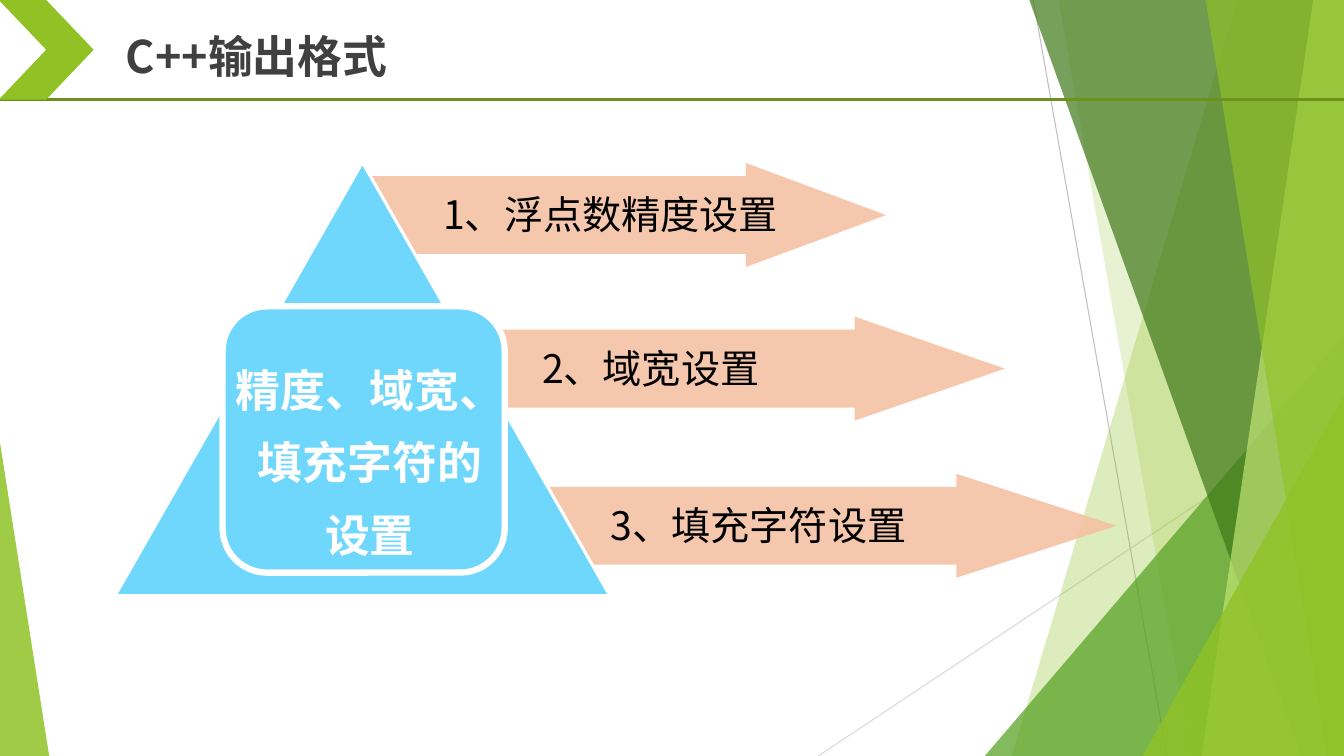
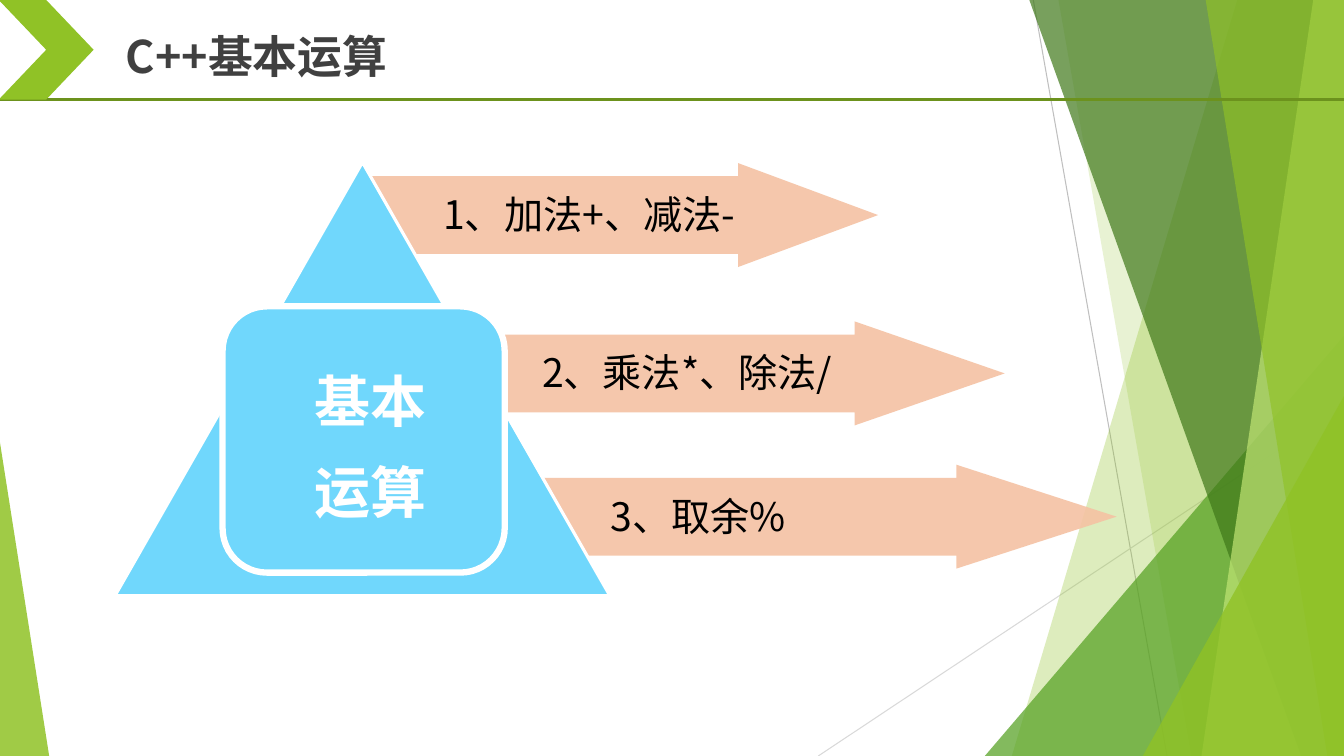
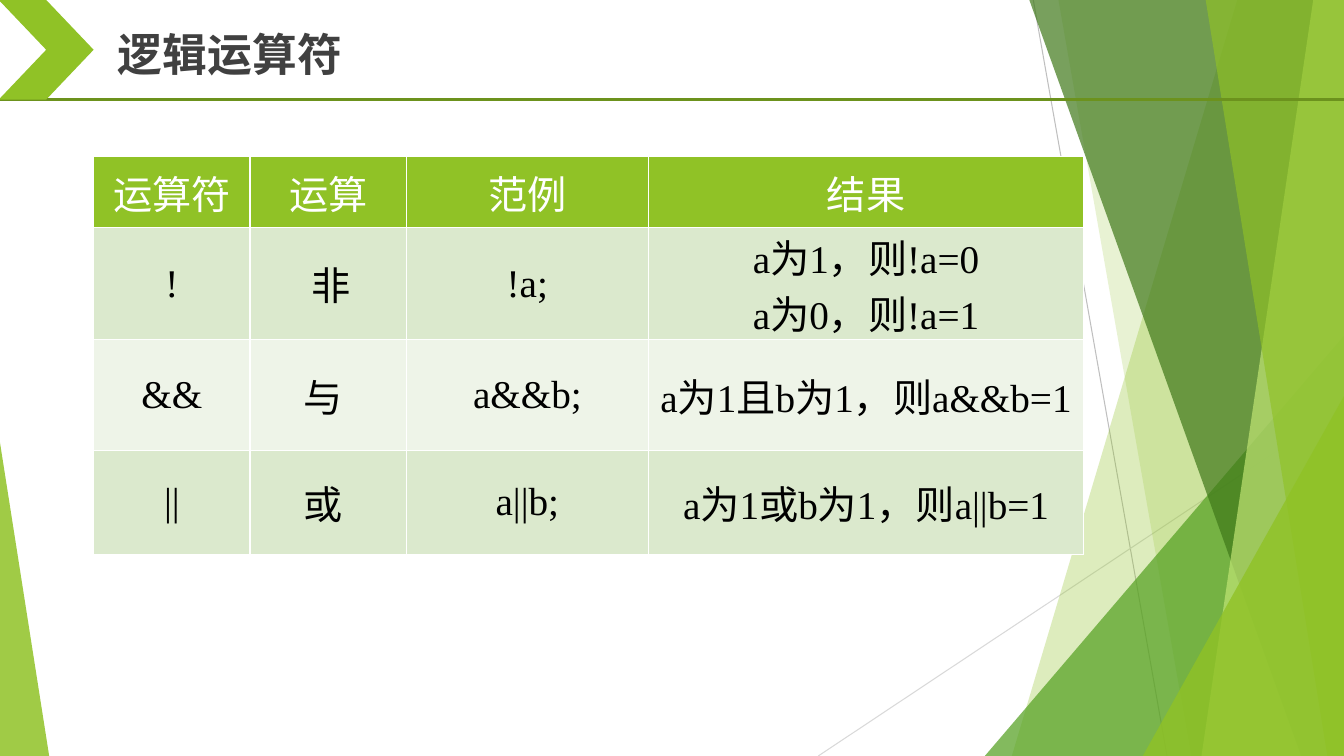
from lxml.etree import SubElement
from pptx import Presentation
from pptx.dml.color import RGBColor
from pptx.enum.shapes import MSO_CONNECTOR, MSO_SHAPE
from pptx.enum.text import MSO_ANCHOR, MSO_AUTO_SIZE, PP_ALIGN
from pptx.oxml.ns import qn
from pptx.util import Cm, Pt

WIDTH, HEIGHT = 33.87, 19.05
SANS, SERIF = "Noto Sans CJK SC", "Times New Roman"
GREEN, MID_GREEN, DARK_GREEN, PALE_GREEN = "90C226", "54A021", "3F7819", "C0E474"
RULE_GREEN, BLUE, PEACH = "6C921D", "70D7FC", "F5C2A3"
WHITE, BLACK, GREY = "FFFFFF", "000000", "404040"
TRIANGLE = MSO_SHAPE.ISOSCELES_TRIANGLE
rgb = RGBColor.from_string


def style_text(paragraph, size, colour, bold=False, latin=SANS):
    for run in paragraph.runs:
        run.font.size = Pt(size)
        run.font.name = latin
        run.font.bold = bold
        run.font.color.rgb = rgb(colour)
        SubElement(run.font._element, qn("a:ea"), typeface=SANS)


def strip(top_x, bottom_x):
    """Corners of a full-height band that reaches the right edge."""
    return [(top_x, -0.03), (WIDTH, -0.03), (WIDTH, HEIGHT), (bottom_x, HEIGHT)]


# Each drawing: kind, geometry in cm, fill, opacity %, line colour, line width,
# triangle apex
background = [
    ("line", (26.04, 0, 29.41, HEIGHT), None, 100, "BFBFBF", 0.75, None),
    ("line", (WIDTH, 10.24, 20.62, HEIGHT), None, 100, "D9D9D9", 0.75, None),
    ("polygon", strip(31.19, 25.5), GREEN, 30, None, 0, None),
    ("polygon", strip(26.67, 30.02), GREEN, 20, None, 0, None),
    (TRIANGLE, (24.82, 8.46, 9.05, 10.59), MID_GREEN, 72, None, 0, 1),
    ("polygon", strip(25.93, 32.79), DARK_GREEN, 70, None, 0, None),
    ("polygon", strip(33.1, 30.28), PALE_GREEN, 70, None, 0, None),
    ("polygon", strip(30.38, 33.45), GREEN, 65, None, 0, None),
    (TRIANGLE, (28.8, 9.98, 5.07, 9.07), GREEN, 80, None, 0, 1),
    (TRIANGLE, (0, 11.15, 1.24, 7.9), GREEN, 85, None, 0, 0),
    ("line", (0, 2.51, WIDTH, 2.51), None, 100, RULE_GREEN, 2.25, None),
    (MSO_SHAPE.CHEVRON, (-0.03, 0, 2.39, 2.51), GREEN, 100, None, 0, None),
]
pyramid = [
    (TRIANGLE, (2.9, 4.09, 12.47, 10.92), BLUE, 100, WHITE, 2.25, 0.5),
    (MSO_SHAPE.ROUNDED_RECTANGLE, (5.61, 7.72, 7.11, 6.71), BLUE, 100, WHITE, 4.5, None),
]

# Arrow columns: left, head start, tip, label left
arrow_columns = [
    (9.32, 18.8, 22.33, 10.92),
    (11.46, 21.54, 25.32, 13.41),
    (13.34, 24.1, 28.14, 15.14),
]
slides = [
    {
        "title": "C++输出格式", "title_at": (2.92, 0.61),
        "centre": "精度、域宽、\n填充字符的\n设置", "centre_size": 32,
        "arrows": [("1、浮点数精度设置", 4.11, 0), ("2、域宽设置", 7.98, 0),
                   ("3、填充字符设置", 11.94, 0)],
    },
    {
        "title": "C++基本运算", "title_at": (2.92, 0.61),
        "centre": "基本\n运算", "centre_size": 40,
        "arrows": [("1、加法+、减法-", 4.11, -0.2), ("2、乘法*、除法/", 8.1, 0),
                   ("3、取余%", 11.71, 0)],
    },
    {"title": "逻辑运算符", "title_at": (2.72, 0.56), "arrows": []},
]

presentation = Presentation()
presentation.slide_width, presentation.slide_height = Cm(WIDTH), Cm(HEIGHT)

for content in slides:
    slide = presentation.slides.add_slide(presentation.slide_layouts[6])
    drawings = list(background)
    # Each text: box in cm, wording, size, colour, bold, alignment, line spacing
    texts = [((*content["title_at"], 11, 1.63), content["title"], 32, GREY, True,
              PP_ALIGN.LEFT, 1)]

    for (label, top, shift), (left, head, tip, label_left) in zip(content["arrows"], arrow_columns):
        left, head, tip = left + shift, head + shift, tip + shift
        outline = [(left, top + 0.33), (head, top + 0.33), (head, top), (tip, top + 1.31),
                   (head, top + 2.62), (head, top + 2.29), (left + 1, top + 2.29)]
        drawings.append(("polygon", outline, PEACH, 90, None, 0, None))
        texts.append(((label_left, top + 0.56, 11.7, 1.45), label, 28, BLACK, False,
                      PP_ALIGN.LEFT, 1))
    if "centre" in content:
        drawings += pyramid
        texts.append(((5.49, 8.53, 7.67, 5), content["centre"], content["centre_size"],
                      WHITE, True, PP_ALIGN.CENTER, 1.35))

    for kind, geometry, fill, opacity, line, line_width, apex in drawings:
        if kind == "line":
            shape = slide.shapes.add_connector(MSO_CONNECTOR.STRAIGHT, *map(Cm, geometry))
        elif kind == "polygon":
            points = [(Cm(x), Cm(y)) for x, y in geometry]
            builder = slide.shapes.build_freeform(*points[0])
            builder.add_line_segments(points[1:], close=True)
            shape = builder.convert_to_shape()
        else:
            shape = slide.shapes.add_shape(kind, *map(Cm, geometry))
        if apex is not None:
            shape.adjustments[0] = apex
        if line:
            shape.line.color.rgb = rgb(line)
            shape.line.width = Pt(line_width)
        else:
            shape.line.fill.background()
        if kind == "line":
            SubElement(shape._element.spPr, qn("a:effectLst"))
            continue
        shape.shadow.inherit = False
        shape.fill.solid()
        shape.fill.fore_color.rgb = rgb(fill)
        if opacity < 100:
            colour = shape._element.spPr.find(qn("a:solidFill")).find(qn("a:srgbClr"))
            SubElement(colour, qn("a:alpha"), val=str(opacity * 1000))

    for box, wording, size, colour, bold, alignment, spacing in texts:
        text_frame = slide.shapes.add_textbox(*map(Cm, box)).text_frame
        text_frame.word_wrap = True
        text_frame.auto_size = MSO_AUTO_SIZE.SHAPE_TO_FIT_TEXT
        text_frame.text = wording
        for paragraph in text_frame.paragraphs:
            paragraph.alignment = alignment
            paragraph.line_spacing = spacing
            style_text(paragraph, size, colour, bold)

# Operator table on the last slide
rows = [
    ("运算符", "运算", "范例", "结果"),
    ("!", "非", "!a;", "a为1，则!a=0\na为0，则!a=1"),
    ("&&", "与", "a&&b;", "a为1且b为1，则a&&b=1"),
    ("||", "或", "a||b;", "a为1或b为1，则a||b=1"),
]
row_heights = [1.8, 2.82, 2.79, 2.62]
column_widths = [3.94, 3.94, 6.1, 10.97]
row_fills = [GREEN, "DBE9CD", "EEF4E8", "DBE9CD"]
name_margins = [0.18, 1.55, 1.34, 1.34]

table = slide.shapes.add_table(
    len(rows), len(column_widths), Cm(2.36), Cm(3.94),
    Cm(sum(column_widths)), Cm(sum(row_heights))).table
for column, width in zip(table.columns, column_widths):
    column.width = Cm(width)
for row_index, row in enumerate(rows):
    table.rows[row_index].height = Cm(row_heights[row_index])
    for column_index, wording in enumerate(row):
        cell = table.cell(row_index, column_index)
        is_name = row_index > 0 and column_index == 1
        cell.vertical_anchor = MSO_ANCHOR.MIDDLE
        cell.margin_top = cell.margin_bottom = 0
        cell.margin_left = Cm(name_margins[row_index] if is_name else 0.18)
        cell.margin_right = Cm(0.18)
        for side in ("a:lnL", "a:lnR", "a:lnT", "a:lnB"):
            border = SubElement(cell._tc.get_or_add_tcPr(), qn(side), w=str(Pt(1)))
            SubElement(SubElement(border, qn("a:solidFill")), qn("a:srgbClr"), val=WHITE)
        cell.fill.solid()
        cell.fill.fore_color.rgb = rgb(row_fills[row_index])
        cell.text_frame.text = wording
        for paragraph in cell.text_frame.paragraphs:
            paragraph.alignment = PP_ALIGN.LEFT if is_name else PP_ALIGN.CENTER
            style_text(paragraph, 28, BLACK if row_index else WHITE, latin=SERIF)

presentation.save("out.pptx")
